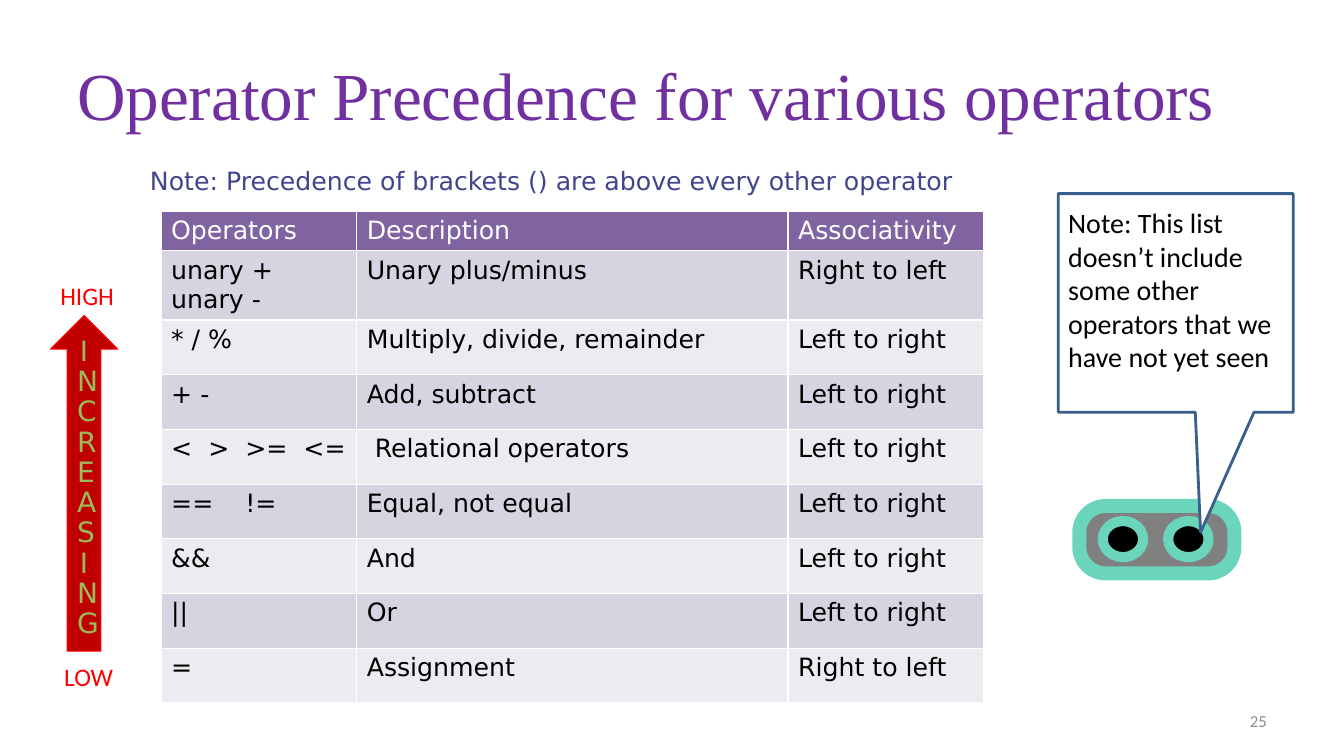
from pptx import Presentation
from pptx.dml.color import RGBColor
from pptx.enum.shapes import MSO_SHAPE as Preset
from pptx.enum.text import MSO_ANCHOR as Anchor, MSO_AUTO_SIZE as AutoSize, PP_ALIGN as Align
from pptx.util import Cm, Pt

COLORS = {
    "title": "7030A0", "note": "40458C", "number": "8C8C8C", "label": "FF0000",
    "header": "8064A2", "dark_band": "D8D3E0", "light_band": "EDEAF0",
    "arrow": "C00000", "arrow_text": "9BBB59", "mask": "808080", "rim": "6AD5BB",
    "callout_line": "3A5F8C", "white": "FFFFFF", "black": "000000",
}


def write(frame, text, size, font, color, align=Align.LEFT):
    frame.text = text
    paragraph = frame.paragraphs[0]
    paragraph.alignment = align
    paragraph.font.size = Pt(size)
    paragraph.font.name = font
    paragraph.font.bold = False
    paragraph.font.color.rgb = RGBColor.from_string(COLORS[color])
    return paragraph


def draw(shapes, preset, box, fill, line, width):
    shape = shapes.add_shape(preset, *map(Cm, box))
    shape.shadow.inherit = False
    shape.fill.solid()
    shape.fill.fore_color.rgb = RGBColor.from_string(COLORS[fill])
    shape.line.color.rgb = RGBColor.from_string(COLORS[line])
    shape.line.width = Pt(width)
    return shape


presentation = Presentation()
presentation.slide_width = Cm(33.87)
presentation.slide_height = Cm(19.05)
slide = presentation.slides.add_slide(presentation.slide_layouts[5])

title = slide.shapes.title
title.left, title.top, title.width, title.height = Cm(1.69), Cm(0.76), Cm(30.48), Cm(3.18)
write(title.text_frame, "Operator Precedence for various operators", 48, "Times New Roman", "title")
title.text_frame.vertical_anchor = Anchor.MIDDLE
title.text_frame.auto_size = AutoSize.NONE

rows = [
    ("Operators", "Description", "Associativity"),
    ("unary + unary -", "Unary plus/minus", "Right to left"),
    ("* / %", "Multiply, divide, remainder", "Left to right"),
    ("+ -", "Add, subtract", "Left to right"),
    ("<  >  >=  <=", " Relational operators", "Left to right"),
    ("==    !=", "Equal, not equal", "Left to right"),
    ("&&", "And", "Left to right"),
    ("||", "Or", "Left to right"),
    ("=", "Assignment", "Right to left"),
]
row_heights = [0.99, 1.74] + [1.38] * 7
column_widths = [4.93, 10.87, 4.93]
table = slide.shapes.add_table(
    len(rows), len(column_widths), Cm(4.06), Cm(5.33),
    Cm(sum(column_widths)), Cm(sum(row_heights))).table
for column, width in zip(table.columns, column_widths):
    column.width = Cm(width)
for i, (values, height) in enumerate(zip(rows, row_heights)):
    table.rows[i].height = Cm(height)
    band = "header" if i == 0 else "dark_band" if i % 2 else "light_band"
    for j, value in enumerate(values):
        cell = table.cell(i, j)
        cell.fill.solid()
        cell.fill.fore_color.rgb = RGBColor.from_string(COLORS[band])
        write(cell.text_frame, value, 18, "DejaVu Sans", "black" if i else "white")

arrow = draw(slide.shapes, Preset.UP_ARROW, (1.27, 7.95, 1.7, 8.46), "arrow", "label", 0.75)
arrow.text_frame.vertical_anchor = Anchor.TOP
arrow.text_frame.word_wrap = True
letters = write(arrow.text_frame, "INCREASING", 20, "DejaVu Sans", "arrow_text", Align.CENTER)
letters.line_spacing = 0.9

labels = [
    ((1.37, 16.54, 1.75, 1.02), "LOW", 18, "Calibri", "label", Align.LEFT),
    ((1.27, 6.93, 1.88, 1.02), "HIGH", 18, "Calibri", "label", Align.LEFT),
    ((3.53, 4.04, 21.16, 1.02), "Note: Precedence of brackets () are above every other operator",
     18, "DejaVu Sans", "note", Align.LEFT),
    ((24.28, 17.65, 7.9, 1.02), "25", 12, "Calibri", "number", Align.RIGHT),
]
for box, text, size, font, color, align in labels:
    label = slide.shapes.add_textbox(*map(Cm, box))
    label.text_frame.word_wrap = align == Align.RIGHT
    label.text_frame.vertical_anchor = Anchor.MIDDLE if align == Align.RIGHT else Anchor.TOP
    write(label.text_frame, text, size, font, color, align)

face = slide.shapes.add_group_shape()
mask = draw(face.shapes, Preset.ROUNDED_RECTANGLE, (27.2, 12.75, 3.91, 1.7), "mask", "rim", 10)
mask.adjustments[0] = 0.39
for eye_left in (27.79, 29.44):
    draw(face.shapes, Preset.OVAL, (eye_left, 13.13, 1.02, 0.91), "black", "rim", 7.25)

callout = draw(slide.shapes, Preset.RECTANGULAR_CALLOUT, (26.67, 4.88, 5.92, 5.51),
               "white", "callout_line", 2)
callout.adjustments[0] = 0.106
callout.adjustments[1] = 1.049
callout.text_frame.word_wrap = True
callout.text_frame.vertical_anchor = Anchor.TOP
callout.text_frame.margin_top = Cm(0.3)
write(callout.text_frame,
      "Note: This list doesn’t include some other operators that we have not yet seen",
      20, "Calibri", "black")

presentation.save("out.pptx")
